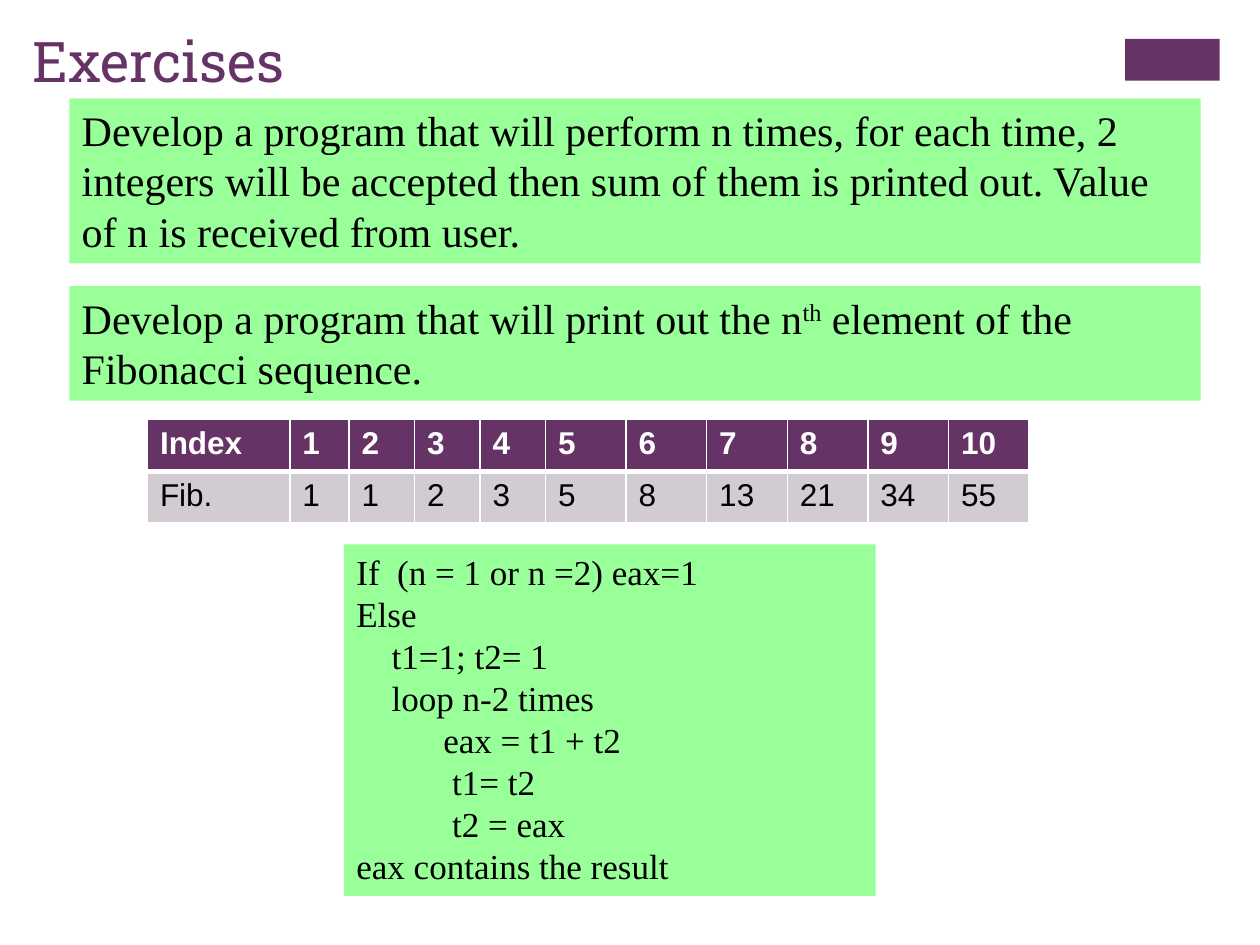
from lxml.etree import SubElement
from pptx import Presentation
from pptx.dml.color import RGBColor
from pptx.enum.shapes import MSO_SHAPE
from pptx.enum.text import MSO_ANCHOR, MSO_AUTO_SIZE, PP_ALIGN
from pptx.oxml.ns import qn
from pptx.util import Inches, Pt

COLORS = {
    "plum": "663366",
    "green": "99FF99",
    "mauve": "D2CCD2",
    "white": "FFFFFF",
    "black": "000000",
}


class ExerciseSlide:
    def __init__(self, slide):
        self.slide = slide
        self.title_font = "Roboto Slab"
        self.body_font = "Times New Roman"
        self.table_font = "Arial"

    def color(self, name):
        return RGBColor.from_string(COLORS[name])

    def add_run(self, paragraph, text, font, size, color, bold=False):
        run = paragraph.add_run()
        run.text = text
        run.font.name = font
        run.font.size = Pt(size)
        run.font.bold = bold
        run.font.color.rgb = self.color(color)
        return run

    def title(self, text, left, top, width, height):
        box = self.slide.shapes.add_textbox(
            Inches(left), Inches(top), Inches(width), Inches(height))
        box.text_frame.word_wrap = True
        self.add_run(box.text_frame.paragraphs[0], text, self.title_font, 32, "plum")

    def block(self, color, left, top, width, height):
        rect = self.slide.shapes.add_shape(
            MSO_SHAPE.RECTANGLE,
            Inches(left), Inches(top), Inches(width), Inches(height))
        rect.shadow.inherit = False
        rect.fill.solid()
        rect.fill.fore_color.rgb = self.color(color)
        rect.line.fill.background()
        return rect

    def text_block(self, lines, size, left, top, width, height):
        """Each line is (indent in inches, [(text, is superscript), ...])."""
        frame = self.block("green", left, top, width, height).text_frame
        frame.word_wrap = True
        frame.auto_size = MSO_AUTO_SIZE.SHAPE_TO_FIT_TEXT
        frame.vertical_anchor = MSO_ANCHOR.TOP
        for number, (indent, pieces) in enumerate(lines):
            paragraph = frame.add_paragraph() if number else frame.paragraphs[0]
            paragraph.alignment = PP_ALIGN.LEFT
            if indent:
                paragraph._p.get_or_add_pPr().set("marL", str(Inches(indent)))
            for text, superscript in pieces:
                run = self.add_run(paragraph, text, self.body_font, size, "black")
                if superscript:
                    run.font._element.set("baseline", "30000")

    def cell_borders(self, cell, widths):
        properties = cell._tc.get_or_add_tcPr()
        fill = properties[0]
        for side, width in widths.items():
            line = SubElement(properties, qn(f"a:ln{side}"), w=str(Pt(width)))
            solid = SubElement(line, qn("a:solidFill"))
            SubElement(solid, qn("a:srgbClr"), val=COLORS["white"])
        properties.append(fill)  # the schema wants borders before the fill

    def table(self, rows, column_widths, row_height, left, top):
        table = self.slide.shapes.add_table(
            len(rows), len(column_widths), Inches(left), Inches(top),
            Inches(sum(column_widths)), Inches(row_height * len(rows))).table
        for column, width in zip(table.columns, column_widths):
            column.width = Inches(width)
        for r, values in enumerate(rows):
            header = r == 0
            for c, value in enumerate(values):
                cell = table.cell(r, c)
                cell.fill.solid()
                cell.fill.fore_color.rgb = self.color("plum" if header else "mauve")
                self.add_run(cell.text_frame.paragraphs[0], str(value), self.table_font,
                             18, "white" if header else "black", bold=header)
                self.cell_borders(cell, {"L": 1, "R": 1, "T": 1 if header else 3,
                                         "B": 3 if header else 1})


def fibonacci(count):
    numbers = [1, 1]
    while len(numbers) < count:
        numbers.append(numbers[-1] + numbers[-2])
    return numbers


def main():
    presentation = Presentation()
    presentation.slide_width = Inches(10)
    presentation.slide_height = Inches(7.5)
    page = ExerciseSlide(presentation.slides.add_slide(presentation.slide_layouts[6]))

    page.block("plum", 8.93, 0.31, 0.75, 0.33)
    page.title("Exercises", 0.16, 0.16, 4.69, 0.78)

    sum_task = ("Develop a program that will perform n times, for each time, "
                "2 integers will be accepted then sum of them is printed out. "
                "Value of n is received from user.")
    page.text_block([(0, [(sum_task, False)])], 24, 0.55, 0.78, 8.98, 1.31)

    fibonacci_task = [
        ("Develop a program that will print out the n", False),
        ("th", True),
        (" element of the Fibonacci sequence.", False),
    ]
    page.text_block([(0, fibonacci_task)], 24, 0.55, 2.27, 8.98, 0.91)

    sequence = [["Index", *range(1, 11)], ["Fib.", *fibonacci(10)]]
    page.table(sequence, [1.13, 0.47] + [0.52] * 3 + [0.64] * 6, 0.41, 1.17, 3.33)

    pseudocode = [
        (0, "If  (n = 1 or n =2) eax=1"),
        (0, "Else"),
        (0.28, "t1=1; t2= 1"),
        (0.28, "loop n-2 times"),
        (0.69, "eax = t1 + t2"),
        (0.76, "t1= t2"),
        (0.76, "t2 = eax"),
        (0, "eax contains the result"),
    ]
    page.text_block([(indent, [(text, False)]) for indent, text in pseudocode],
                    20, 2.73, 4.32, 4.22, 2.79)

    presentation.save("out.pptx")


if __name__ == "__main__":
    main()
